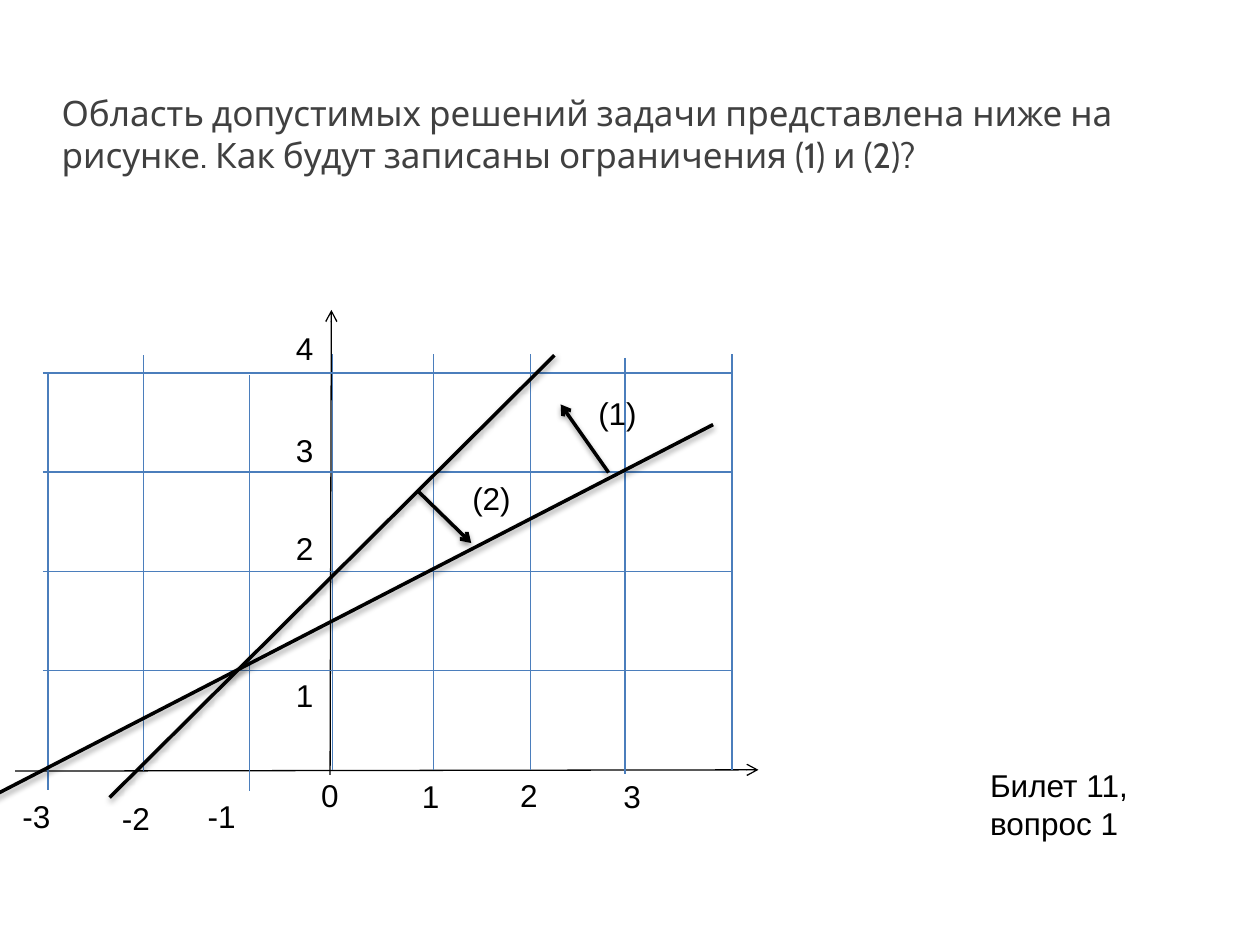
"""Build a slide with a linear programming region on a coordinate grid."""
from lxml import etree
from pptx import Presentation
from pptx.dml.color import RGBColor
from pptx.enum.shapes import MSO_CONNECTOR
from pptx.enum.text import MSO_AUTO_SIZE
from pptx.oxml import parse_xml
from pptx.oxml.ns import qn
from pptx.util import Inches, Pt

STRAIGHT = MSO_CONNECTOR.STRAIGHT
GROW = MSO_AUTO_SIZE.SHAPE_TO_FIT_TEXT
WIDE, HIGH = 10, 7.5
COLS, ROWS = 100, 75
THEME = {
    "ink": "000000", "head": "404040", "grid": "4B7EBC",
    "font": "Arial", "title": "Cabin",
    "size": 18, "big": 20, "thin": 0.75, "bold": 2,
}
SHADE = (
    '<a:effectLst xmlns:a="http://schemas.openxmlformats.org/drawingml/2006/main">'
    '<a:outerShdw blurRad="40000" dist="20000" dir="5400000" rotWithShape="0">'
    '<a:srgbClr val="000000"><a:alpha val="38000"/></a:srgbClr>'
    '</a:outerShdw></a:effectLst>'
)

TITLE = ("Область допустимых решений задачи представлена ниже на рисунке. "
         "Как будут записаны ограничения (1) и (2)?")
TICKET = "Билет 11, вопрос 1"

AXES = [(26.2, 61.5, 26.3, 24.6), (1.2, 61.2, 60.2, 61.1)]
LEFT, RIGHT = 3.4, 58.2
TOP, STEP, LEVELS = 29.6, 7.87, 4
REACH = 33
UPRIGHTS = [(3.8, 29.7), (11.4, 28.2), (19.8, 29.8), (26.4, 28.1),
            (34.4, 28.1), (42.1, 28.1), (49.6, 28.4), (58.1, 28.1)]
BOUNDS = [(8.7, 63.3, 44, 28.2), (56.6, 33.7, -1.2, 63.5)]
SIDES = [(48.3, 37.5, 44.5, 32.1), (33.2, 39, 37.4, 43.1)]

LABELS = [
    (3.7, [("0", 24.5, 61.1), ("1", 32.5, 61.2), ("2", 40.3, 61.1), ("3", 48.5, 61.2),
           ("1", 22.5, 53.2), ("2", 22.5, 41.5), ("3", 22.5, 33.7), ("4", 22.5, 25.6)]),
    (5.3, [("-1", 15.5, 62.8), ("-2", 8.7, 62.9), ("-3", 0.8, 62.8)]),
    (6.3, [("(1)", 46.5, 30.8), ("(2)", 36.5, 37.5)]),
]

deck = Presentation()
deck.slide_width, deck.slide_height = Inches(WIDE), Inches(HIGH)
slide = deck.slides.add_slide(deck.slide_layouts[6])


def place(x, y):
    return Inches(x * WIDE / COLS), Inches(y * HIGH / ROWS)


def write(text, x, y, w, h, font="font", size="size", tint="ink"):
    box = slide.shapes.add_textbox(*place(x, y), *place(w, h))
    frame = box.text_frame
    frame.word_wrap = True
    frame.auto_size = GROW
    run = frame.paragraphs[0].add_run()
    run.text = text
    run.font.name = THEME[font]
    run.font.size = Pt(THEME[size])
    run.font.color.rgb = RGBColor.from_string(THEME[tint])


def draw(ends, tint="ink", width="thin", arrow=False, shade=False):
    line = slide.shapes.add_connector(STRAIGHT, *place(*ends[:2]), *place(*ends[2:]))
    line.line.color.rgb = RGBColor.from_string(THEME[tint])
    line.line.width = Pt(THEME[width])
    props = line.line._get_or_add_ln()
    if arrow:
        etree.SubElement(props, qn("a:tailEnd"), type="arrow")
    if shade:
        line._element.spPr.append(parse_xml(SHADE))
    else:
        etree.SubElement(line._element.spPr, qn("a:effectLst"))


write(TITLE, 3.9, 6.8, 90.6, 7.7, font="title", size="big", tint="head")
for ends in AXES:
    draw(ends, arrow=True)
for level in range(LEVELS):
    y = TOP + level * STEP
    draw((LEFT, y, RIGHT, y), tint="grid")
for x, y in UPRIGHTS:
    draw((x, y, x, y + REACH), tint="grid")
for ends in BOUNDS:
    draw(ends, width="bold", shade=True)
for ends in SIDES:
    draw(ends, width="bold", arrow=True, shade=True)
for width, marks in LABELS:
    for text, x, y in marks:
        write(text, x, y, width, 4)
write(TICKET, 77.6, 60.3, 15, 7.1)
deck.save("out.pptx")
